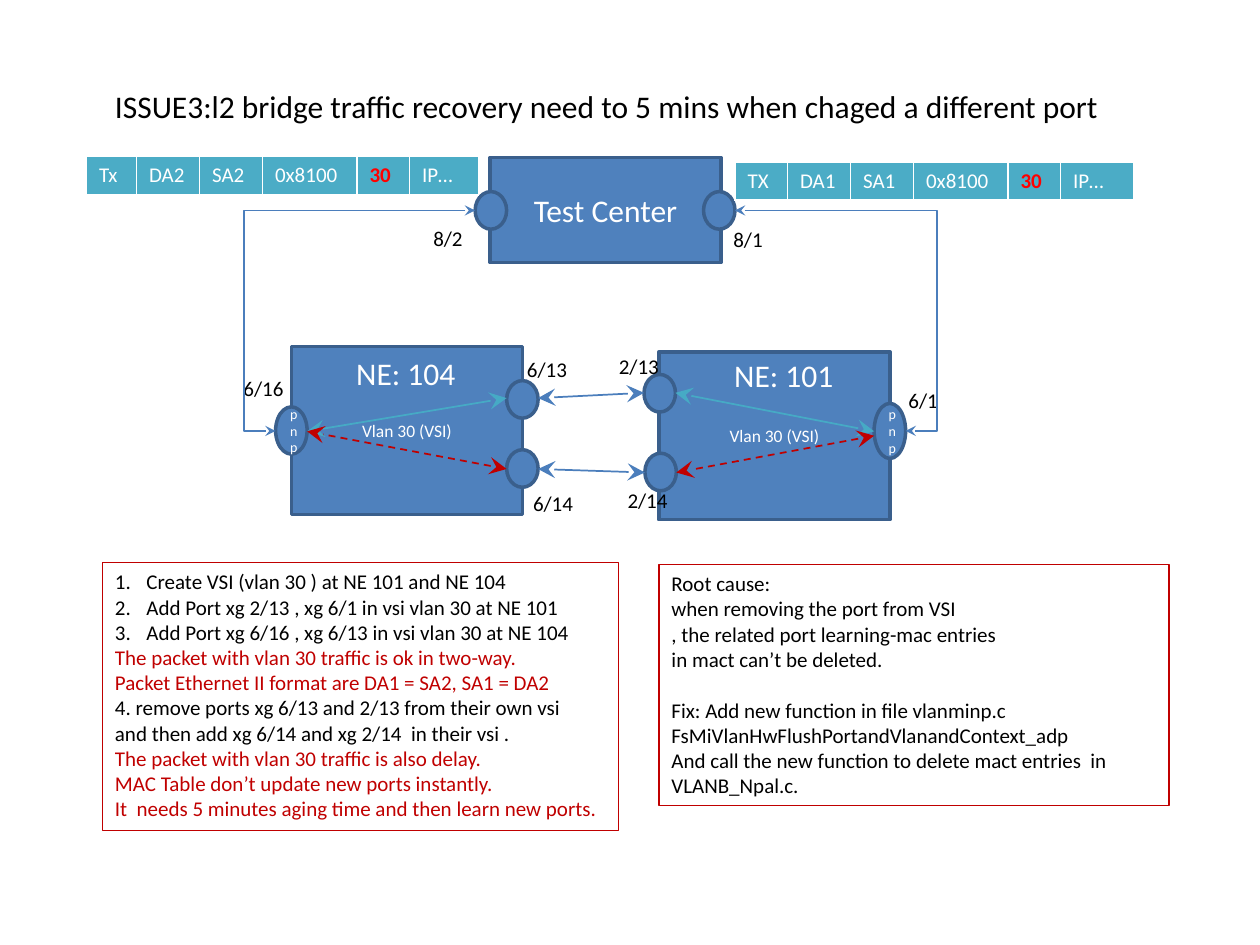
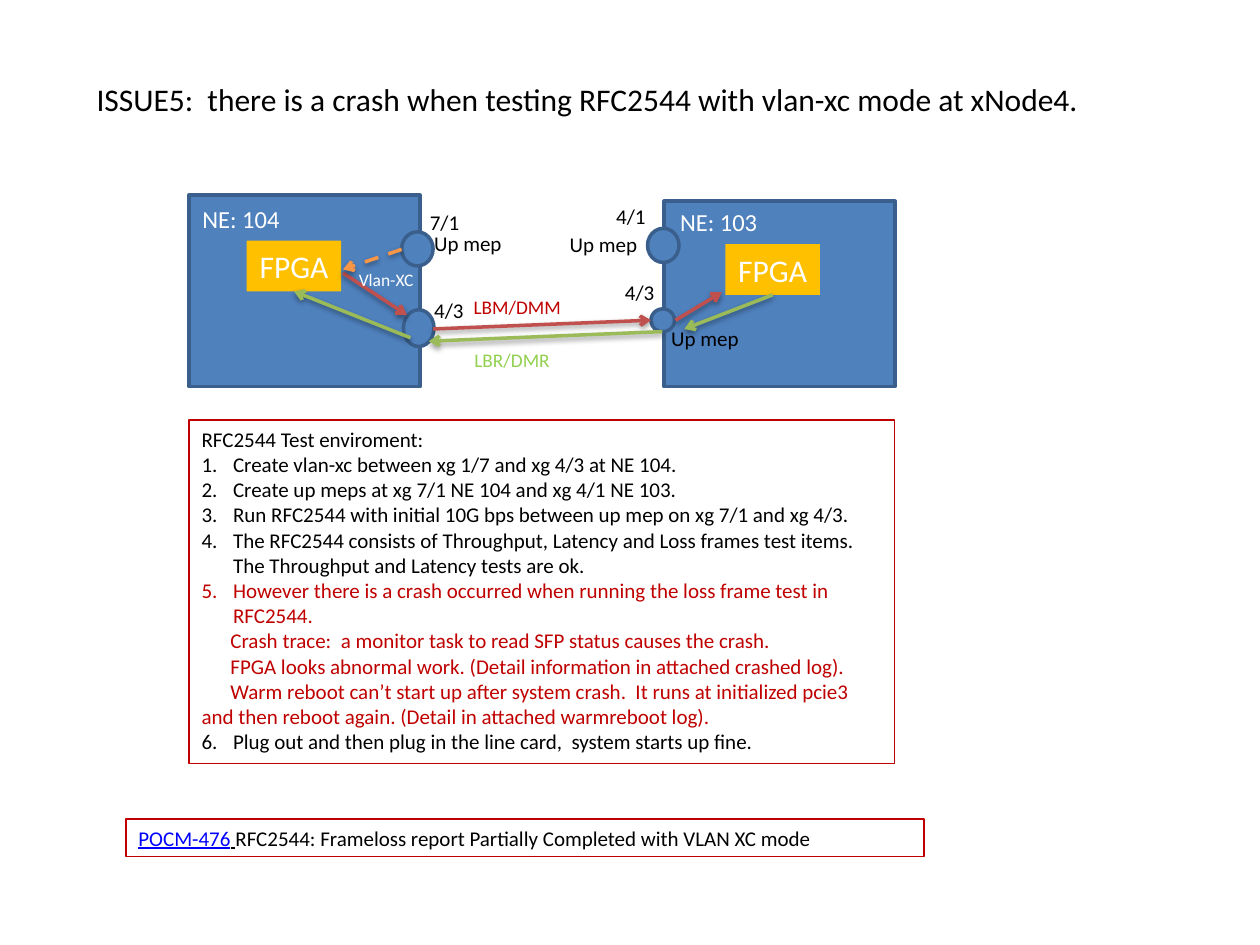
import pptx
import pptx.dml.color
import pptx.enum.dml
import pptx.enum.shapes
import pptx.enum.text
import pptx.oxml.ns
import pptx.util
from lxml import etree

Pt = pptx.util.Pt
qn = pptx.oxml.ns.qn
SHAPES = pptx.enum.shapes.MSO_SHAPE
CONNECTORS = pptx.enum.shapes.MSO_CONNECTOR
ANCHOR = pptx.enum.text.MSO_ANCHOR
ALIGN = pptx.enum.text.PP_ALIGN
NO_AUTOFIT = pptx.enum.text.MSO_AUTO_SIZE.NONE
DASH = pptx.enum.dml.MSO_LINE.DASH

BLACK, WHITE, RED, BRIGHT_RED = "000000", "FFFFFF", "C00000", "FF0000"
BLUE, DARK_BLUE, LINK_BLUE, CABLE = "4F81BD", "3A5F8C", "0000FF", "4B7EBC"
TEAL, TEAL_LINE, AMBER = "4BACC6", "46AAC5", "FFC000"
REQUEST, REPLY, REPLY_TEXT, CROSS = "C0504D", "9BBB59", "92D050", "F79646"

PLAIN, FIRST_LINE, NUMBER = (0, 0), (0, 16.5), (18, -18)
LINE_HEIGHT = 14.6


def color(hex_text):
    return pptx.dml.color.RGBColor.from_string(hex_text)


def apply(target, values):
    for name, value in values.items():
        setattr(target, name, value)


def child(parent, tag, **attributes):
    """Append an XML element in a namespace such as a:."""
    element = etree.SubElement(parent, qn(tag))
    for name, value in attributes.items():
        element.set(name, str(value))
    return element


class Deck:
    font_name = "Calibri"

    def __init__(self):
        self.presentation = pptx.Presentation()
        self.presentation.slide_width = Pt(720)
        self.presentation.slide_height = Pt(540)
        self.slide = None

    def new_slide(self, layout_index, title, position):
        layout = self.presentation.slide_layouts[layout_index]
        self.slide = self.presentation.slides.add_slide(layout)
        shape = self.slide.shapes.title
        self.place(shape, position)
        self.set_text(shape, title, 18, wrap=True)

    def place(self, shape, position):
        names = ("left", "top", "width", "height")
        apply(shape, dict(zip(names, map(Pt, position))))

    def add_text(self, paragraph, text, size, hex_text, **extra):
        run = paragraph.add_run()
        run.text = text
        apply(run.font, {"name": self.font_name, "size": Pt(size), **extra})
        run.font.color.rgb = color(hex_text)

    def set_text(self, shape, text, size, hex_text=BLACK, wrap=False,
                 align=ALIGN.LEFT, anchor=ANCHOR.TOP):
        frame = shape.text_frame
        apply(frame, {"word_wrap": wrap, "auto_size": NO_AUTOFIT,
                      "vertical_anchor": anchor})
        frame.paragraphs[0].alignment = align
        self.add_text(frame.paragraphs[0], text, size, hex_text)

    def outline(self, shape, hex_text, width):
        shape.line.color.rgb = color(hex_text)
        shape.line.width = Pt(width)

    def label(self, text, left, top, width=37.5, size=12, hex_text=BLACK):
        height = size * 1.22 + 7.2
        box = self.slide.shapes.add_textbox(*map(Pt, (left, top, width, height)))
        self.set_text(box, text, size, hex_text)
        return box

    def block(self, kind, position, text="", size=10, fill=BLUE, line=DARK_BLUE):
        shape = self.slide.shapes.add_shape(kind, *map(Pt, position))
        shape.shadow.inherit = False
        shape.fill.solid()
        shape.fill.fore_color.rgb = color(fill)
        if line:
            self.outline(shape, line, 2)
        else:
            shape.line.fill.background()
        if text:
            self.set_text(shape, text, size, WHITE, True, ALIGN.CENTER, ANCHOR.MIDDLE)
        return shape

    def node(self, position, text="", size=10):
        return self.block(SHAPES.RECTANGLE, position, text, size)

    def port(self, left, top, width=18, height=21.5, text=""):
        return self.block(SHAPES.OVAL, (left, top, width, height), text, 8)

    def arrow(self, start, end, hex_text, width=1, dashed=False, head="stealth",
              both_ends=True, head_size="lg", bend=None, shadow=False):
        kind = CONNECTORS.ELBOW if bend else CONNECTORS.STRAIGHT
        connector = self.slide.shapes.add_connector(kind, *map(Pt, start + end))
        self.outline(connector, hex_text, width)
        if dashed:
            connector.line.dash_style = DASH
        properties = connector._element.spPr
        line = properties.get_or_add_ln()
        for tag in ("a:headEnd", "a:tailEnd") if both_ends else ("a:tailEnd",):
            child(line, tag, type=head, w=head_size, len=head_size)
        if bend:
            guides = properties.find(qn("a:prstGeom")).find(qn("a:avLst"))
            child(guides, "a:gd", name="adj1", fmla=f"val {bend}")
        effects = child(properties, "a:effectLst")
        if shadow:
            outer = child(effects, "a:outerShdw", blurRad=Pt(3.1), dist=Pt(1.6),
                          dir=5400000, rotWithShape=0)
            child(child(outer, "a:srgbClr", val=BLACK), "a:alpha", val=38000)
        return connector

    def flow(self, start, end, hex_text, dashed=False):
        """Draw a one-way message arrow with a soft shadow."""
        return self.arrow(start, end, hex_text, 2, dashed, "arrow", False,
                          "med", shadow=True)

    def steps(self, index, position, lines):
        """Fill a body placeholder; a line is text, colour, indents, extras."""
        shape = self.slide.placeholders[index]
        self.place(shape, position)
        self.outline(shape, RED, 0.75)
        frame = shape.text_frame
        apply(frame, {"word_wrap": True, "auto_size": NO_AUTOFIT,
                      "vertical_anchor": ANCHOR.TOP, "margin_right": Pt(12)})
        for number, (text, hex_text, indents, *extra) in enumerate(lines):
            paragraph = frame.add_paragraph() if number else frame.paragraphs[0]
            options = extra[0] if extra else {}
            apply(paragraph, {"line_spacing": 1.0, "space_after": Pt(0),
                              "space_before": Pt(options.get("gap", 0))})
            properties = paragraph._p.get_or_add_pPr()
            for name, value in zip(("marL", "indent"), indents):
                properties.set(name, str(Pt(value)))
            if indents == NUMBER:
                child(properties, "a:buFont", typeface="+mj-lt")
                start = {"startAt": options["start"]} if "start" in options else {}
                child(properties, "a:buAutoNum", type="arabicPeriod", **start)
            else:
                child(properties, "a:buNone")
            self.add_text(paragraph, text, 12, hex_text)

    def packet(self, left, top, fields, widths):
        """Draw a frame header as a one-row table, with the VLAN tag in red."""
        table = self.slide.shapes.add_table(
            1, len(fields), Pt(left), Pt(top), Pt(sum(widths)), Pt(20)).table
        for column, cell, width, text in zip(
                table.columns, table.rows[0].cells, widths, fields):
            column.width = Pt(width)
            cell.fill.solid()
            cell.fill.fore_color.rgb = color(TEAL)
            is_tag = text == "30"
            self.add_text(cell.text_frame.paragraphs[0], text, 12,
                          BRIGHT_RED if is_tag else WHITE, bold=is_tag)


def build_bridge_slide(deck):
    deck.new_slide(
        3, "ISSUE3:l2 bridge traffic recovery need to 5 mins when chaged a different port",
        (58.5, 46, 584, 29))
    for left, top in ((166.5, 198), (376.5, 201)):
        deck.node((left, top, 132, 96), "Vlan 30 (VSI)")
    deck.node((280, 90, 132, 60), "Test Center", 18)
    for left, top in ((368, 214), (368.5, 259), (289.5, 217.5), (289.5, 257),
                      (402, 109.5), (271.5, 109.5)):
        deck.port(left, top)
    deck.port(499.5, 230.5, 18, 31.5, "pnp")
    deck.port(157.5, 232.5, 18, 27, "pnp")
    for text, left, top in (
            ("2/13", 346.5, 198.5), ("2/14", 351.5, 275), ("6/1", 512, 218),
            ("6/14", 297.5, 277), ("6/13", 294, 200), ("6/16", 132, 211),
            ("8/1", 412, 126), ("8/2", 240.5, 125.5)):
        deck.label(text, left, top)
    for text, left, top in (("NE: 101", 412.5, 200), ("NE: 104", 196.5, 198.5)):
        deck.label(text, left, top, 72, 18, WHITE)

    for start, end in (((499.5, 246.5), (386, 224.5)), ((289.5, 227.5), (175.5, 246.5))):
        deck.arrow(start, end, TEAL_LINE)
    for start, end in (((499.5, 249), (386.5, 270)), ((289.5, 268), (175.5, 246.5))):
        deck.arrow(start, end, RED, dashed=True)
    for start, end in (((307.5, 227.5), (368, 224.5)), ((307.5, 268), (368.5, 270))):
        deck.arrow(start, end, CABLE)
    for start, end, bend in (((420, 120.25), (517.5, 246.25), 118400),
                             ((271.5, 120.25), (157.5, 246.25), 115800)):
        deck.arrow(start, end, CABLE, bend=bend, head_size="med")

    deck.packet(420, 92.5, ("TX", "DA1", "SA1", "0x8100", "30", "IP…"),
                (30, 36, 36, 54, 30, 42))
    deck.packet(49.5, 89.5, ("Tx", "DA2", "SA2", "0x8100", "30", "IP…"),
                (28.5, 36, 36, 54, 30, 39.5))
    deck.steps(1, (58.5, 321.5, 295, 153), (
        ("Create VSI (vlan 30 ) at NE 101 and NE 104", BLACK, NUMBER),
        ("Add Port xg 2/13 , xg 6/1 in vsi vlan 30 at NE 101", BLACK, NUMBER),
        ("Add Port xg 6/16 , xg 6/13 in vsi vlan 30 at NE 104", BLACK, NUMBER),
        ("The packet with vlan 30 traffic is ok in two-way.", RED, PLAIN),
        ("Packet Ethernet II format are DA1 = SA2, SA1 = DA2", RED, PLAIN),
        ("4. remove ports xg 6/13 and 2/13 from their own vsi", BLACK, PLAIN),
        ("and then add xg 6/14 and xg 2/14  in their vsi .", BLACK, PLAIN),
        ("The packet with vlan 30 traffic is also delay.", RED, PLAIN),
        ("MAC Table don’t update new ports instantly.", RED, PLAIN),
        ("It  needs 5 minutes aging time and then learn new ports.", RED, PLAIN)))
    deck.steps(2, (376.5, 322.5, 291.5, 138), (
        ("Root cause:", BLACK, PLAIN),
        ("when removing the port from VSI", BLACK, PLAIN),
        (", the related port learning-mac entries", BLACK, PLAIN),
        ("in mact can’t be deleted.", BLACK, PLAIN),
        ("Fix: Add new function in file vlanminp.c", BLACK, PLAIN, {"gap": LINE_HEIGHT}),
        ("FsMiVlanHwFlushPortandVlanandContext_adp", BLACK, PLAIN),
        ("And call the new function to delete mact entries  in VLANB_Npal.c.",
         BLACK, PLAIN)))


def build_crash_slide(deck):
    deck.new_slide(
        1, "ISSUE5:  there is a crash when testing RFC2544 with vlan-xc mode at xNode4.",
        (48, 42, 612, 29))
    deck.node((108, 111.5, 132, 109.5))
    deck.node((379.5, 115, 132, 106))
    for port in ((229.5, 132.5, 18, 19.5), (230.5, 177, 17.5, 21),
                 (372, 176.5, 13.5, 13), (370, 130.5, 18, 19.5)):
        deck.port(*port)
    near_fpga, far_fpga = (
        deck.block(SHAPES.RECTANGLE, (left, top, 54, 29), "FPGA", 18, AMBER, None)
        for left, top in ((141, 137.5), (414.5, 139.5)))

    for start, end, hex_text in (
            ((247.5, 188), (372, 183), REQUEST), ((386, 183), (412.5, 167), REQUEST),
            ((196, 156), (232.5, 180), REQUEST), ((378.5, 189.5), (245, 195), REPLY)):
        deck.flow(start, end, hex_text)
    deck.flow((441.5, 168.5), (391, 188), REPLY).begin_connect(far_fpga, 2)
    deck.flow((234.5, 193), (168, 166.5), REPLY).end_connect(near_fpga, 2)
    deck.flow((229.5, 142.5), (196, 154), CROSS, dashed=True)

    for text, left, top in (("4/3", 241, 166.5), ("7/1", 238.5, 116),
                            ("4/3", 350, 156), ("4/1", 345, 113)):
        deck.label(text, left, top)
    for left, top in ((241, 128), (376.5, 182.5), (318.5, 128.5)):
        deck.label("Up mep", left, top, 53)
    for text, left, top, width, size, hex_text in (
            ("NE: 104", 108.5, 113, 62.5, 14, WHITE),
            ("NE: 103", 381.5, 114.5, 62.5, 14, WHITE),
            ("Vlan-XC", 198, 150, 52.5, 10, WHITE),
            ("LBM/DMM", 263.5, 165, 98, 11, RED),
            ("LBR/DMR", 264, 195.5, 90.5, 11, REPLY_TEXT)):
        # Boxes wider than their text must wrap to stay left-aligned.
        deck.label(text, left, top, width, size, hex_text).text_frame.word_wrap = True

    deck.steps(1, (108, 240, 403, 196.5), (
        ("RFC2544 Test enviroment:", BLACK, PLAIN),
        ("Create vlan-xc between xg 1/7 and xg 4/3 at NE 104.", BLACK, NUMBER),
        ("Create up meps at xg 7/1 NE 104 and xg 4/1 NE 103.", BLACK, NUMBER),
        ("Run RFC2544 with initial 10G bps between up mep on xg 7/1 and xg 4/3.",
         BLACK, NUMBER),
        ("The RFC2544 consists of Throughput, Latency and Loss frames test items. "
         "The Throughput and Latency tests are ok.", BLACK, NUMBER),
        ("However there is a crash occurred when running the loss frame test in RFC2544.",
         RED, NUMBER),
        ("Crash trace:  a monitor task to read SFP status causes the crash.",
         RED, FIRST_LINE),
        ("FPGA looks abnormal work. (Detail information in attached crashed log).",
         RED, FIRST_LINE),
        ("Warm reboot can’t start up after system crash.  It runs at initialized pcie3 "
         "and then reboot again. (Detail in attached warmreboot log).", RED, FIRST_LINE),
        ("Plug out and then plug in the line card,  system starts up fine.",
         BLACK, NUMBER, {"start": 6})))

    ticket = deck.slide.shapes.add_textbox(*map(Pt, (72, 468, 456, 21.5)))
    deck.outline(ticket, RED, 0.75)
    ticket.text_frame.word_wrap = True
    paragraph = ticket.text_frame.paragraphs[0]
    deck.add_text(paragraph, "POCM-476", 12, LINK_BLUE, underline=True)
    deck.add_text(paragraph, " ", 12, BLACK, underline=True)
    deck.add_text(paragraph, "RFC2544: Frameloss report Partially Completed with VLAN XC mode",
                  12, BLACK)


def main():
    deck = Deck()
    build_bridge_slide(deck)
    build_crash_slide(deck)
    deck.presentation.save("out.pptx")


if __name__ == "__main__":
    main()
